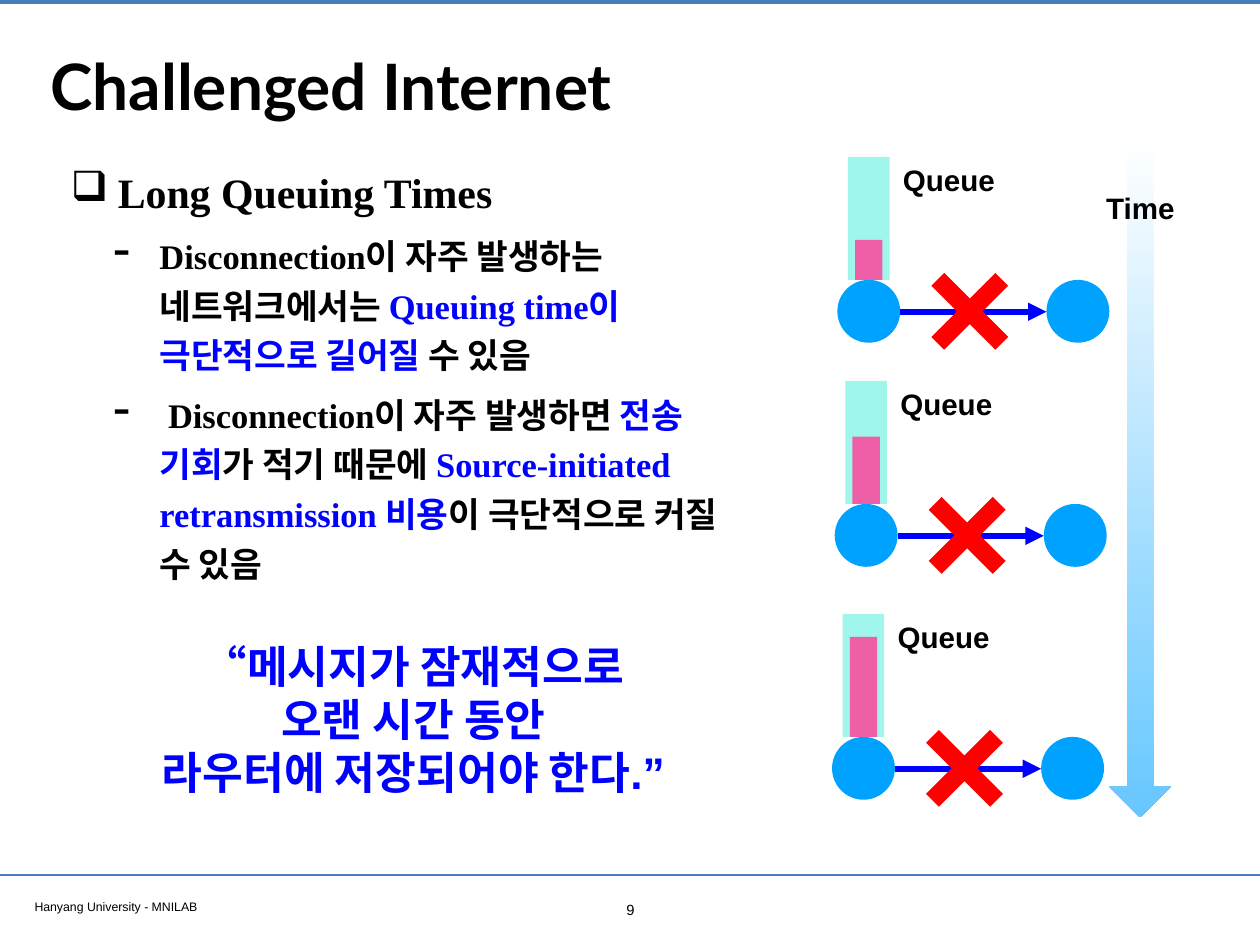
from lxml.etree import SubElement
from pptx import Presentation
from pptx.dml.color import RGBColor
from pptx.enum.shapes import MSO_CONNECTOR, MSO_SHAPE
from pptx.enum.text import MSO_ANCHOR, PP_ALIGN
from pptx.oxml.ns import qn
from pptx.util import Pt

SCALE = 9144
WIDTH, HEIGHT = 1422, 1067
BLACK, BLUE, RULE = "000000", "0000FF", "4A7EBB"
NODE, CROSS, QUEUE, LOAD = "00A2FF", "FF0000", "A1F6EC", "EF5FA7"
SERIF = "Times New Roman"


def px(*sizes):
    """Turn px lengths into EMU."""
    return [size * SCALE for size in sizes]


def color(hue):
    """Turn a hex string into a colour."""
    return RGBColor.from_string(hue)


def put(par, text, size=24, font="Arial", hue=BLACK, bold=True):
    """Add one formatted run to a paragraph."""
    run = par.add_run()
    run.text = text
    run.font.size, run.font.name, run.font.bold = Pt(size), font, bold
    run.font.color.rgb = color(hue)


def frame(slide, box, anchor=MSO_ANCHOR.TOP, wrap=True):
    """Add an empty text box and return its text frame."""
    body = slide.shapes.add_textbox(*px(*box)).text_frame
    body.word_wrap, body.vertical_anchor = wrap, anchor
    body.margin_left, body.margin_top, body.margin_right, body.margin_bottom = px(6, 6, 6, 6)
    return body


def label(slide, box, lines, **form):
    """Add centred lines in a box that does not wrap."""
    body = frame(slide, box, MSO_ANCHOR.MIDDLE, False)
    for index, line in enumerate(lines):
        par = body.add_paragraph() if index else body.paragraphs[0]
        par.alignment = PP_ALIGN.CENTER
        put(par, line, **form)


def shape(slide, kind, box, fill=None, bend=()):
    """Add a plain shape without outline or shadow."""
    item = slide.shapes.add_shape(kind, *px(*box))
    item.shadow.inherit = False
    item.line.fill.background()
    for index, value in enumerate(bend):
        item.adjustments[index] = value
    if fill:
        item.fill.solid()
        item.fill.fore_color.rgb = color(fill)
    return item


def line(slide, ends, hue, width, arrow=False):
    """Add a straight line, with an arrowhead if asked."""
    item = slide.shapes.add_connector(MSO_CONNECTOR.STRAIGHT, *px(*ends))
    item.line.color.rgb, item.line.width = color(hue), Pt(width)
    if arrow:
        SubElement(item.line._get_or_add_ln(), qn("a:tailEnd"), type="triangle")
    SubElement(item._element.spPr, qn("a:effectLst"))


def bullet(par, mark, left, hang, scale=100):
    """Give a paragraph a hanging bullet."""
    props = par._p.get_or_add_pPr()
    props.set("marL", str(left * SCALE))
    props.set("indent", str(-hang * SCALE))
    SubElement(props, qn("a:buSzPct"), val=str(scale * 1000))
    SubElement(props, qn("a:buChar"), char=mark)
    par.line_spacing = 1.2


def border(slide):
    """Draw the rules, the footer and the page number."""
    line(slide, (0, 2, WIDTH, 2), RULE, 3.2)
    line(slide, (0, 988, WIDTH, 988), RULE, 2)
    foot = frame(slide, (33, 1009, 546, 26))
    put(foot.paragraphs[0], "Hanyang University - MNILAB", size=10, bold=False)
    label(slide, (692, 1012, 39, 31), ["9"], size=12, bold=False)


def points(slide, box):
    """Write the heading and its points."""
    items = [
        [("Disconnection이 자주 발생하는 네트워크에서는 ", BLACK),
         ("Queuing time이 극단적으로 길어질", BLUE), (" 수 있음", BLACK)],
        [(" Disconnection이 자주 발생하면 ", BLACK), ("전송 기회", BLUE),
         ("가 적기 때문에 ", BLACK),
         ("Source-initiated retransmission 비용", BLUE),
         ("이 극단적으로 커질 수 있음", BLACK)],
    ]
    body = frame(slide, box)
    head = body.paragraphs[0]
    bullet(head, "❑", 53, 53)
    put(head, "Long Queuing Times", size=34, font=SERIF)
    for item in items:
        par = body.add_paragraph()
        par.level = 1
        bullet(par, "-", 100, 52, 145)
        par.space_before = Pt(8)
        for text, hue in item:
            put(par, text, size=28, font=SERIF, hue=hue)


def link(slide, left, top, load):
    """Draw a queue above a broken link between two nodes."""
    base, size = top + 139, 71
    for shift in (0, 236):
        shape(slide, MSO_SHAPE.OVAL, (left + shift, base, size, size), NODE)
    mid = base + 36
    line(slide, (left + size, mid, left + 236, mid), BLUE, 5, True)
    shape(slide, MSO_SHAPE.MATH_MULTIPLY, (left + 80, top + 105, 139, 139), CROSS, [0.147])
    shape(slide, MSO_SHAPE.RECTANGLE, (left + 12, top, 47, 139), QUEUE)
    shape(slide, MSO_SHAPE.RECTANGLE, (left + 20, base - load, 31, load), LOAD)
    label(slide, (left + 68, top, 116, 52), ["Queue"])


def clock(slide, left, top, width, height):
    """Draw the fading time arrow and its label."""
    arrow = shape(slide, MSO_SHAPE.DOWN_ARROW, (left, top, width, height), bend=[0.41, 0.5])
    arrow.fill.gradient()
    arrow.fill.gradient_angle = 270
    for stop, spot, hue in zip(arrow.fill.gradient_stops, (0, 1), ("FFFFFF", "66C7FF")):
        stop.position, stop.color.rgb = spot, color(hue)
    label(slide, (left - 10, top + 56, width + 20, 52), ["Time"])


def main():
    """Build the slide and save it."""
    deck = Presentation()
    deck.slide_width, deck.slide_height = px(WIDTH, HEIGHT)
    slide = deck.slides.add_slide(deck.slide_layouts[6])
    border(slide)
    title = frame(slide, (51, 28, 1066, 135), MSO_ANCHOR.MIDDLE)
    put(title.paragraphs[0], "Challenged Internet", size=52, font="Lato")
    points(slide, (74, 171, 786, 508))
    quote = ["“메시지가 잠재적으로", "오랜 시간 동안", "라우터에 저장되어야 한다.”"]
    label(slide, (147, 715, 639, 193), quote, size=36, hue=BLUE)
    for step, (top, load) in enumerate([(177, 45), (430, 76), (693, 113)]):
        link(slide, 945 - 3 * step, top, load)
    clock(slide, 1252, 153, 70, 770)
    deck.save("out.pptx")


if __name__ == "__main__":
    main()
